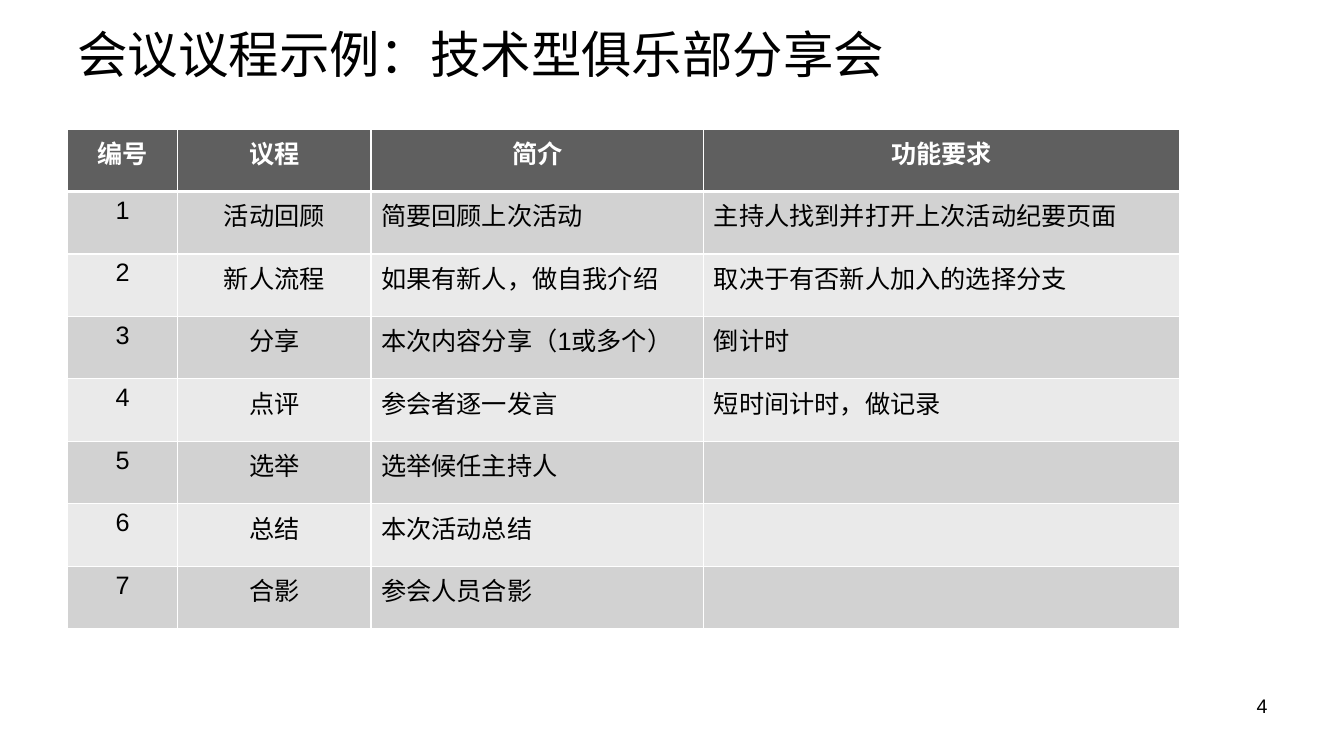
from lxml import etree
from pptx import Presentation
from pptx.dml.color import RGBColor
from pptx.enum.text import MSO_ANCHOR, PP_ALIGN
from pptx.oxml.ns import qn
from pptx.util import Inches, Pt

LEFT, CENTER, RIGHT = PP_ALIGN.LEFT, PP_ALIGN.CENTER, PP_ALIGN.RIGHT
TOP, MIDDLE = MSO_ANCHOR.TOP, MSO_ANCHOR.MIDDLE
FONT = "Arial"
BLACK, WHITE = "000000", "FFFFFF"
HEADER_FILL = "5F5F5F"
BAND_FILLS = ("D2D2D2", "EAEAEA")
COLUMN_WIDTHS = (1.09, 1.92, 3.3, 4.72)
COLUMN_ALIGNS = (CENTER, CENTER, LEFT, LEFT)
ROW_HEIGHT = 0.62
HEADERS = ("编号", "议程", "简介", "功能要求")
AGENDA = (
    ("活动回顾", "简要回顾上次活动", "主持人找到并打开上次活动纪要页面"),
    ("新人流程", "如果有新人，做自我介绍", "取决于有否新人加入的选择分支"),
    ("分享", "本次内容分享（1或多个）", "倒计时"),
    ("点评", "参会者逐一发言", "短时间计时，做记录"),
    ("选举", "选举候任主持人", ""),
    ("总结", "本次活动总结", ""),
    ("合影", "参会人员合影", ""),
)


def rgb(value):
    """Return the colour for a hex string."""
    return RGBColor.from_string(value)


def write_text(frame, text, size, color=BLACK, align=LEFT, bold=False):
    """Write one formatted run into the first paragraph of a text frame."""
    para = frame.paragraphs[0]
    para.alignment = align
    span = para.add_run()
    span.text = text
    span.font.name = FONT
    span.font.size = Pt(size)
    span.font.bold = bold
    span.font.color.rgb = rgb(color)


def add_label(page, bounds, text, size, align=LEFT, anchor=TOP):
    """Add a wrapping text box."""
    box = page.shapes.add_textbox(*map(Inches, bounds))
    box.text_frame.word_wrap = True
    box.text_frame.vertical_anchor = anchor
    write_text(box.text_frame, text, size, align=align)


def add_borders(cell, widths):
    """Draw white borders of the given widths: left, right, top, bottom."""
    properties = cell._tc.get_or_add_tcPr()
    for side, width in zip("LRTB", widths):
        line = etree.SubElement(properties, qn(f"a:ln{side}"), w=str(Pt(width)))
        fill = etree.SubElement(line, qn("a:solidFill"))
        etree.SubElement(fill, qn("a:srgbClr"), val=WHITE)


def style_cell(cell, fill, borders):
    """Set the borders and fill of a table cell."""
    add_borders(cell, borders)
    cell.fill.solid()
    cell.fill.fore_color.rgb = rgb(fill)


def add_agenda_table(page, left, top):
    """Add the agenda table with a header row and numbered, banded rows."""
    rows = [HEADERS]
    rows += [(str(number), *item) for number, item in enumerate(AGENDA, 1)]
    table = page.shapes.add_table(
        len(rows), len(HEADERS), Inches(left), Inches(top),
        Inches(sum(COLUMN_WIDTHS)), Inches(ROW_HEIGHT * len(rows))).table
    for column, width in zip(table.columns, COLUMN_WIDTHS):
        column.width = Inches(width)
    for index, texts in enumerate(rows):
        table.rows[index].height = Inches(ROW_HEIGHT)
        header = index == 0
        fill = HEADER_FILL if header else BAND_FILLS[(index - 1) % 2]
        borders = (1, 1, 3 if index == 1 else 1, 3 if header else 1)
        for column, (text, align) in enumerate(zip(texts, COLUMN_ALIGNS)):
            cell = table.cell(index, column)
            style_cell(cell, fill, borders)
            if text:
                write_text(cell.text_frame, text, 18, WHITE if header else BLACK,
                           CENTER if header else align, header)


def main():
    """Build the agenda slide and save the deck."""
    deck = Presentation()
    deck.slide_width, deck.slide_height = Inches(13.33), Inches(7.5)
    page = deck.slides.add_slide(deck.slide_layouts[6])
    add_label(page, (0.67, 0.21, 12, 0.64), "会议议程示例：技术型俱乐部分享会", 36,
              anchor=MIDDLE)
    add_agenda_table(page, 0.67, 1.28)
    add_label(page, (9.56, 6.83, 3.11, 0.52), "4", 14, align=RIGHT)
    deck.save("out.pptx")


main()
